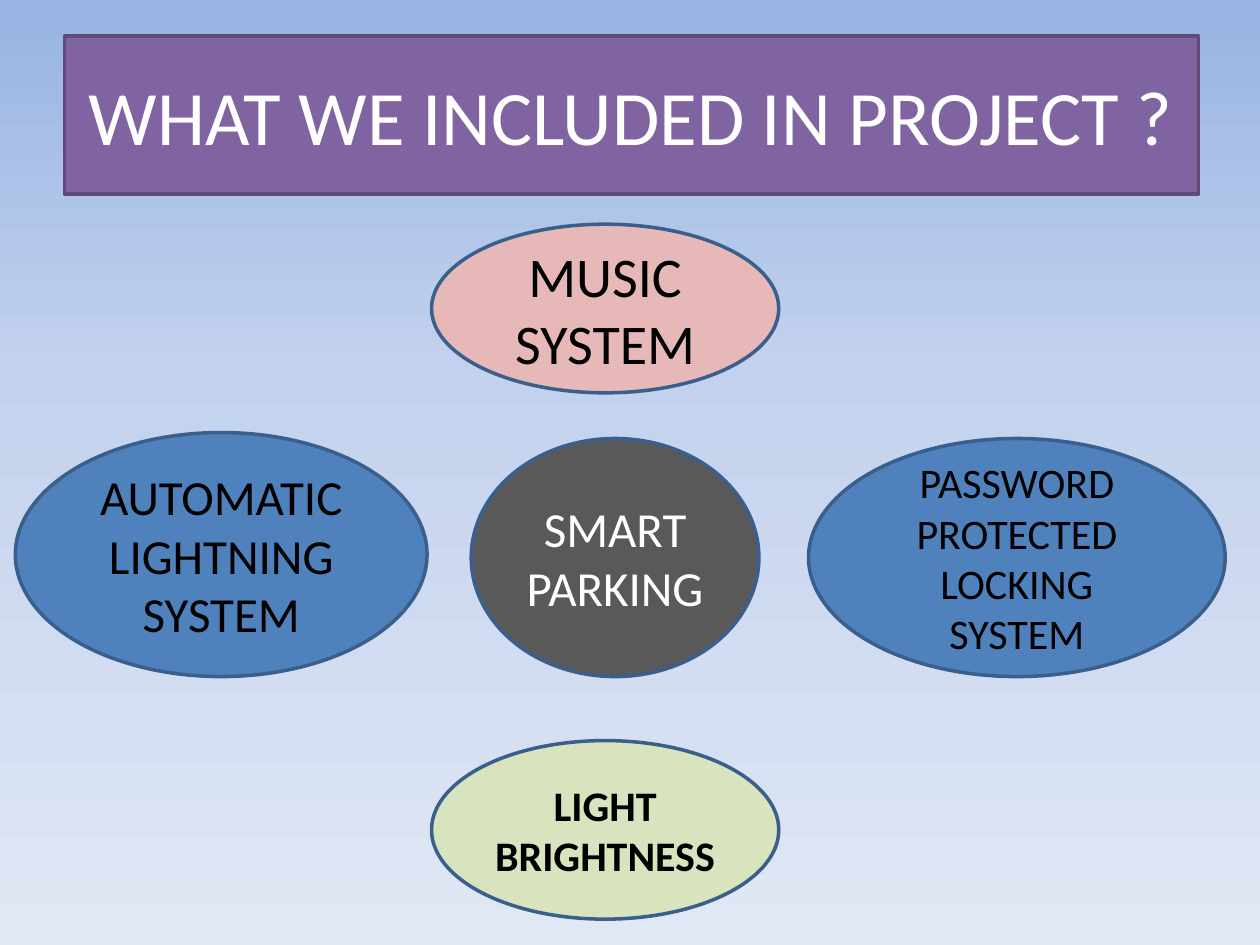
from pptx import Presentation, oxml, util as u
from pptx.dml.color import RGBColor
from pptx.enum import shapes, text
from pptx.oxml import ns

COLORS = {
    "sky_top": "9AB5E4", "sky_middle": "C2D1ED", "sky_bottom": "E1E8F5",
    "purple": "8064A2", "purple_edge": "5F4A78", "blue_edge": "3A5F8C",
    "rose": "E6B9B8", "gray": "595959", "green": "D7E4BD", "blue": "4F81BD",
    "black": "000000", "white": "FFFFFF",
}


class SlideBuilder:
    font_name = "Calibri"
    line_width = u.Pt(2)

    def __init__(self, deck):
        self.slide = deck.slides.add_slide(deck.slide_layouts[1])

    def color(self, name):
        return RGBColor.from_string(COLORS[name])

    def background(self, stops):
        stop_xml = "".join(
            f'<a:gs pos="{percent * 1000}"><a:srgbClr val="{COLORS[name]}"/></a:gs>'
            for percent, name in stops)
        backdrop = oxml.parse_xml(
            f'<p:bg {ns.nsdecls("p", "a")}><p:bgPr><a:gradFill rotWithShape="1">'
            f'<a:gsLst>{stop_xml}</a:gsLst><a:lin ang="5400000" scaled="0"/>'
            '</a:gradFill><a:effectLst/></p:bgPr></p:bg>')
        self.slide.element.cSld.insert(0, backdrop)

    def place(self, shape, box):
        shape.left, shape.top, shape.width, shape.height = (u.Cm(n) for n in box)

    def style(self, shape, wording, fill, edge, size, ink, bold=False):
        shape.fill.solid()
        shape.fill.fore_color.rgb = self.color(fill)
        shape.line.color.rgb = self.color(edge)
        shape.line.width = self.line_width
        frame = shape.text_frame
        frame.text = wording
        frame.word_wrap = True
        frame.auto_size = text.MSO_AUTO_SIZE.NONE
        frame.vertical_anchor = text.MSO_ANCHOR.MIDDLE
        paragraph = frame.paragraphs[0]
        paragraph.alignment = text.PP_ALIGN.CENTER
        font = paragraph.runs[0].font
        font.name, font.size, font.bold = self.font_name, u.Pt(size), bold
        font.color.rgb = self.color(ink)

    def title(self, wording, box):
        heading = self.slide.shapes.title
        self.place(heading, box)
        self.style(heading, wording, "purple", "purple_edge", 44, "white")

    def body_ellipse(self, wording, box, fill, size, ink):
        body = self.slide.placeholders[1]
        self.place(body, box)
        body.element.spPr.append(oxml.parse_xml(
            f'<a:prstGeom {ns.nsdecls("a")} prst="ellipse"><a:avLst/></a:prstGeom>'))
        self.style(body, wording, fill, "blue_edge", size, ink)
        properties = body.text_frame.paragraphs[0]._p.get_or_add_pPr()
        properties.set("marL", "0")
        properties.set("indent", "0")
        properties.append(oxml.parse_xml(f'<a:buNone {ns.nsdecls("a")}/>'))

    def ellipse(self, wording, box, fill, size, ink, bold=False):
        bubble = self.slide.shapes.add_shape(
            shapes.MSO_SHAPE.OVAL, *(u.Cm(n) for n in box))
        bubble.shadow.inherit = False
        self.style(bubble, wording, fill, "blue_edge", size, ink, bold)


def main():
    deck = Presentation()
    deck.slide_width, deck.slide_height = u.Cm(25.4), u.Cm(19.05)
    project = SlideBuilder(deck)
    project.background([(2, "sky_top"), (39, "sky_middle"), (100, "sky_bottom")])
    project.title("WHAT WE INCLUDED IN PROJECT ?", (1.3, 0.73, 22.86, 3.18))
    project.ellipse("MUSIC SYSTEM", (8.7, 4.52, 7, 3.4), "rose", 32, "black")
    project.ellipse("SMART PARKING", (9.5, 8.84, 5.8, 4.8), "gray", 28, "white")
    project.ellipse("LIGHT BRIGHTNESS", (8.7, 14.93, 7, 3.6), "green", 24, "black", True)
    project.ellipse("PASSWORD PROTECTED LOCKING SYSTEM", (16.3, 8.84, 8.4, 4.8),
                    "blue", 24, "black")
    project.body_ellipse("AUTOMATIC LIGHTNING SYSTEM", (0.31, 8.72, 8.3, 4.92),
                         "blue", 28, "black")
    deck.save("out.pptx")


if __name__ == "__main__":
    main()
